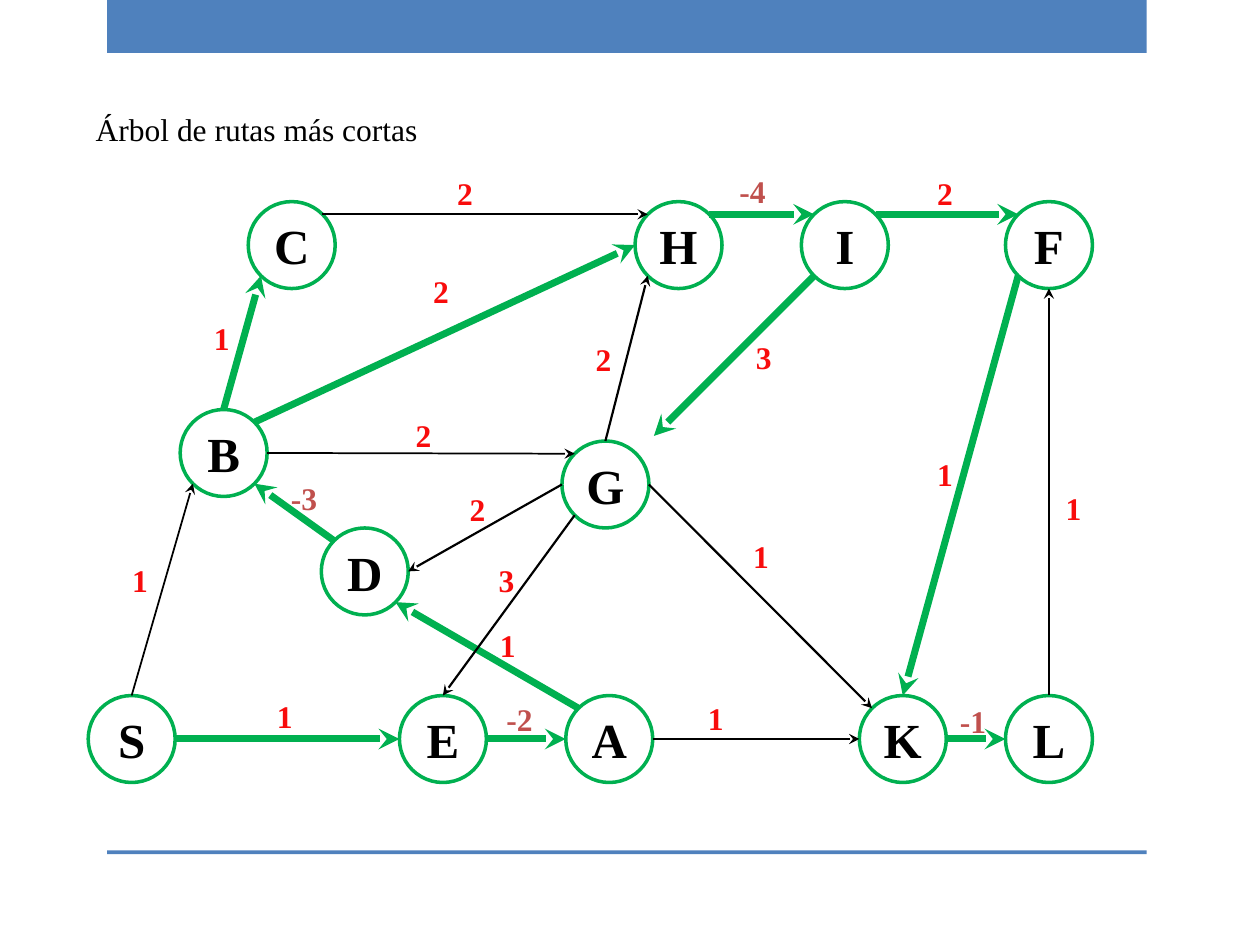
from math import cos, pi, sin

from pptx import Presentation
from pptx.dml.color import RGBColor
from pptx.enum.shapes import MSO_CONNECTOR, MSO_SHAPE
from pptx.enum.text import MSO_ANCHOR, MSO_AUTO_SIZE, PP_ALIGN
from pptx.oxml.ns import qn
from pptx.util import Inches, Pt
from lxml.etree import SubElement

FONT = "Times New Roman"
BLUE = RGBColor(0x4F, 0x81, 0xBD)
GREEN = RGBColor(0x00, 0xB0, 0x50)
RED = RGBColor(0xF8, 0x0C, 0x0C)
BRICK = RGBColor(0xC0, 0x50, 0x4D)
BLACK = RGBColor(0, 0, 0)
WHITE = RGBColor(0xFF, 0xFF, 0xFF)

DIAMETER = 0.69
TREE = 4  # line width of the edges in the shortest-path tree

# Connection sites of an ellipse, counterclockwise from the top
TOP, TOP_LEFT, LEFT, BOTTOM_LEFT, BOTTOM, BOTTOM_RIGHT, RIGHT, TOP_RIGHT = range(8)

# Node: left, top within the graph
NODES = {
    "C": (1.47, 0.6), "H": (4.54, 0.6), "I": (5.86, 0.6), "F": (7.48, 0.6),
    "B": (0.93, 2.25), "G": (3.96, 2.5), "D": (2.05, 3.19),
    "S": (0.2, 4.52), "E": (2.67, 4.52), "A": (3.99, 4.52),
    "K": (6.32, 4.52), "L": (7.48, 4.52),
}

# Start, site, end, site, line width, weight, left and top of the weight
EDGES = [
    ("F", BOTTOM_LEFT, "K", TOP, TREE, 1, 6.84, 2.56),
    ("B", TOP_RIGHT, "H", LEFT, TREE, 2, 2.84, 1.11),
    ("G", TOP, "H", BOTTOM_LEFT, 1.25, 2, 4.13, 1.65),
    ("B", RIGHT, "G", TOP_LEFT, 1, 2, 2.7, 2.25),
    ("G", LEFT, "D", RIGHT, 1.25, 2, 3.13, 2.84),
    ("A", TOP_LEFT, "D", BOTTOM_RIGHT, TREE, 1, 3.37, 3.92),
    ("A", RIGHT, "K", LEFT, 1, 1, 5.02, 4.5),
    ("G", BOTTOM_LEFT, "E", TOP, 1.25, 3, 3.36, 3.4),
    ("G", RIGHT, "K", TOP_LEFT, 1.25, 1, 5.38, 3.21),
    ("I", TOP_RIGHT, "F", TOP_LEFT, TREE, 2, 6.84, 0.33),
    ("L", TOP, "F", BOTTOM, 1, 1, 7.86, 2.83),
    ("B", TOP, "C", BOTTOM_LEFT, TREE, 1, 1.1, 1.48),
    ("C", TOP_RIGHT, "H", TOP_LEFT, 1.25, 2, 3.03, 0.33),
    ("S", RIGHT, "E", LEFT, TREE, 1, 1.6, 4.48),
    ("H", TOP_RIGHT, "I", TOP_LEFT, TREE, -4, 5.27, 0.32),
    ("K", RIGHT, "L", LEFT, TREE, -1, 7.02, 4.52),
    ("E", RIGHT, "A", LEFT, TREE, -2, 3.42, 4.51),
    ("D", TOP_LEFT, "B", BOTTOM_RIGHT, TREE, -3, 1.71, 2.75),
    ("S", TOP, "B", BOTTOM_LEFT, 1, 1, 0.45, 3.4),
]
# The edge from I stops just short of G
FREE_START, FREE_END, FREE_WEIGHT = ("I", BOTTOM_LEFT), (4.69, 2.46), (3, 5.4, 1.63)


def add_bar(s, left, top, width, height):
    bar = s.shapes.add_shape(MSO_SHAPE.RECTANGLE, left, top, width, height)
    bar.shadow.inherit = False
    bar.fill.solid()
    bar.fill.fore_color.rgb = BLUE
    bar.line.fill.background()


def add_title(s, left, top, width, height):
    title = s.shapes.title
    title.left, title.top, title.width, title.height = left, top, width, height
    tf = title.text_frame
    tf.text = "Árbol de rutas más cortas"
    tf.word_wrap = False
    tf.auto_size = MSO_AUTO_SIZE.NONE
    tf.vertical_anchor = MSO_ANCHOR.TOP
    p = tf.paragraphs[0]
    p.alignment = PP_ALIGN.LEFT
    set_font(p, 18, BLACK, False)


def set_font(p, size, color, bold=True):
    p.font.name = FONT
    p.font.size = Pt(size)
    p.font.bold = bold
    p.font.color.rgb = color


def add_node(s, name, left, top):
    node = s.shapes.add_shape(MSO_SHAPE.OVAL, left, top, Inches(DIAMETER), Inches(DIAMETER))
    node.shadow.inherit = False
    node.fill.solid()
    node.fill.fore_color.rgb = WHITE
    node.line.color.rgb = GREEN
    node.line.width = Pt(2)
    tf = node.text_frame
    tf.text = name
    tf.word_wrap = False
    tf.vertical_anchor = MSO_ANCHOR.MIDDLE
    p = tf.paragraphs[0]
    p.alignment = PP_ALIGN.CENTER
    set_font(p, 28, BLACK)
    return node


def site_point(node, site):
    angle = pi / 2 + site * pi / 4
    radius = node.width / 2
    return (round(node.left + radius * (1 + cos(angle))),
            round(node.top + radius * (1 - sin(angle))))


def add_arrow(s, start, end, width):
    cxn = s.shapes.add_connector(MSO_CONNECTOR.STRAIGHT, *start, *end)
    cxn.line.color.rgb = GREEN if width == TREE else BLACK
    cxn.line.width = Pt(width)
    SubElement(cxn.line._get_or_add_ln(), qn("a:tailEnd"), type="stealth")
    SubElement(cxn._element.spPr, qn("a:effectLst"))
    return cxn


def glue(cxn_end, node, site):
    cxn_end.id = node.shape_id
    cxn_end.idx = site


def add_weight(s, weight, left, top):
    width = Inches(0.45 if weight < 0 else 0.33)
    tf = s.shapes.add_textbox(left, top, width, Inches(0.4)).text_frame
    tf.word_wrap = weight < 0
    tf.text = str(weight)
    set_font(tf.paragraphs[0], 18, BRICK if weight < 0 else RED)


def add_graph(s, left, top):
    def place(x, y):
        return left + Inches(x), top + Inches(y)

    nodes = {name: add_node(s, name, *place(*at)) for name, at in NODES.items()}

    # Edges joined to both nodes
    for start, start_site, end, end_site, width, weight, x, y in EDGES:
        a, b = nodes[start], nodes[end]
        cxn = add_arrow(s, site_point(a, start_site), site_point(b, end_site), width)
        joints = cxn._element.nvCxnSpPr.cNvCxnSpPr
        glue(joints.get_or_add_stCxn(), a, start_site)
        glue(joints.get_or_add_endCxn(), b, end_site)

    # Edge with a free end
    name, site = FREE_START
    cxn = add_arrow(s, site_point(nodes[name], site), place(*FREE_END), TREE)
    glue(cxn._element.nvCxnSpPr.cNvCxnSpPr.get_or_add_stCxn(), nodes[name], site)

    # Weights
    for weight, x, y in [edge[5:] for edge in EDGES] + [FREE_WEIGHT]:
        add_weight(s, weight, *place(x, y))


def main():
    prs = Presentation()
    prs.slide_width, prs.slide_height = Inches(10), Inches(7.5)
    s = prs.slides.add_slide(prs.slide_layouts[5])
    add_bar(s, Inches(0.85), 0, Inches(8.25), Inches(0.42))
    add_bar(s, Inches(0.85), Inches(6.75), Inches(8.25), Inches(0.03))
    add_title(s, Inches(0.66), Inches(0.82), Inches(2.78), Inches(0.4))
    add_graph(s, Inches(0.5), Inches(1))
    prs.save("out.pptx")


if __name__ == "__main__":
    main()
